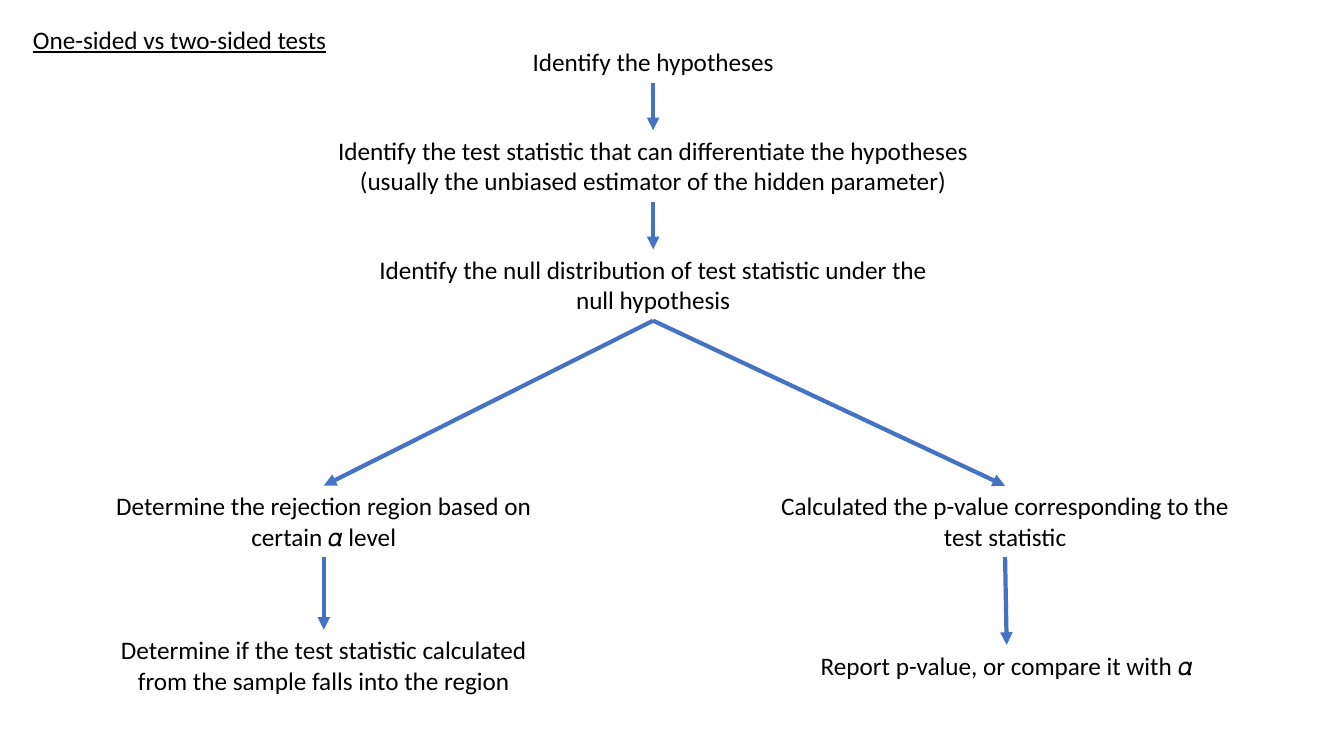
import pptx
import pptx.util
import pptx.dml.color
import pptx.enum.shapes
import pptx.enum.text
import pptx.oxml
import pptx.oxml.ns

Cm = pptx.util.Cm
Pt = pptx.util.Pt
COLORS = {"text": "000000", "arrow": "4472C4"}
BOTTOM, TOP = 2, 0


class FlowSlide:
    font_name = "Calibri"
    font_size = Pt(18)
    arrow_width = Pt(3)
    line_heights = {1: 1.03, 2: 1.8}

    def __init__(self, slide):
        self.slide = slide

    def color(self, name):
        return pptx.dml.color.RGBColor.from_string(COLORS[name])

    def text(self, left, top, width, paragraphs, lines=1, wrap=False, align=None, underline=None):
        box = self.slide.shapes.add_textbox(
            Cm(left), Cm(top), Cm(width), Cm(self.line_heights[lines]))
        frame = box.text_frame
        frame.word_wrap = wrap
        frame.auto_size = pptx.enum.text.MSO_AUTO_SIZE.SHAPE_TO_FIT_TEXT
        for index, wording in enumerate(paragraphs):
            paragraph = frame.add_paragraph() if index else frame.paragraphs[0]
            paragraph.alignment = align
            run = paragraph.add_run()
            run.text = wording
            run.font.name = self.font_name
            run.font.size = self.font_size
            run.font.underline = underline
            run.font.color.rgb = self.color("text")
        return box

    def step(self, center, top, width, *paragraphs, lines=2, wrap=True):
        return self.text(center - width / 2, top, width, paragraphs, lines, wrap,
                         pptx.enum.text.PP_ALIGN.CENTER)

    def arrow(self, source, target):
        connector = self.slide.shapes.add_connector(
            pptx.enum.shapes.MSO_CONNECTOR.STRAIGHT, 0, 0, 0, 0)
        connector.begin_connect(source, BOTTOM)
        connector.end_connect(target, TOP)
        connector.line.color.rgb = self.color("arrow")
        connector.line.width = self.arrow_width
        line = connector.line._get_or_add_ln()
        line.append(pptx.oxml.parse_xml(
            f'<a:tailEnd {pptx.oxml.ns.nsdecls("a")} type="triangle"/>'))
        connector._element.spPr.append(pptx.oxml.parse_xml(
            f'<a:effectLst {pptx.oxml.ns.nsdecls("a")}/>'))


def main():
    presentation = pptx.Presentation()
    presentation.slide_width = Cm(33.87)
    presentation.slide_height = Cm(19.05)
    flow = FlowSlide(presentation.slides.add_slide(presentation.slide_layouts[6]))

    trunk, left_branch, right_branch = 16.46, 8.16, 25.33
    flow.text(0.58, 0.48, 8, ["One-sided vs two-sided tests"], underline=True)
    hypotheses = flow.step(trunk, 1.05, 6.65, "Identify the hypotheses", lines=1, wrap=False)
    statistic = flow.step(
        trunk, 3.28, 16.61,
        "Identify the test statistic that can differentiate the hypotheses",
        "(usually the unbiased estimator of the hidden parameter)", wrap=False)
    null_distribution = flow.step(
        trunk, 6.28, 14.88,
        "Identify the null distribution of test statistic under the null hypothesis")
    rejection_region = flow.step(
        left_branch, 12.24, 11.18,
        "Determine the rejection region based on certain 𝛼 level")
    region_check = flow.step(
        left_branch, 15.87, 11.81,
        "Determine if the test statistic calculated from the sample falls into the region")
    p_value = flow.step(
        right_branch, 12.24, 11.81,
        "Calculated the p-value corresponding to the test statistic")
    report = flow.step(
        right_branch + 0.04, 16.25, 10,
        "Report p-value, or compare it with 𝛼", lines=1, wrap=False)

    for source, target in [
        (hypotheses, statistic),
        (statistic, null_distribution),
        (null_distribution, rejection_region),
        (rejection_region, region_check),
        (null_distribution, p_value),
        (p_value, report),
    ]:
        flow.arrow(source, target)

    presentation.save("out.pptx")


if __name__ == "__main__":
    main()
